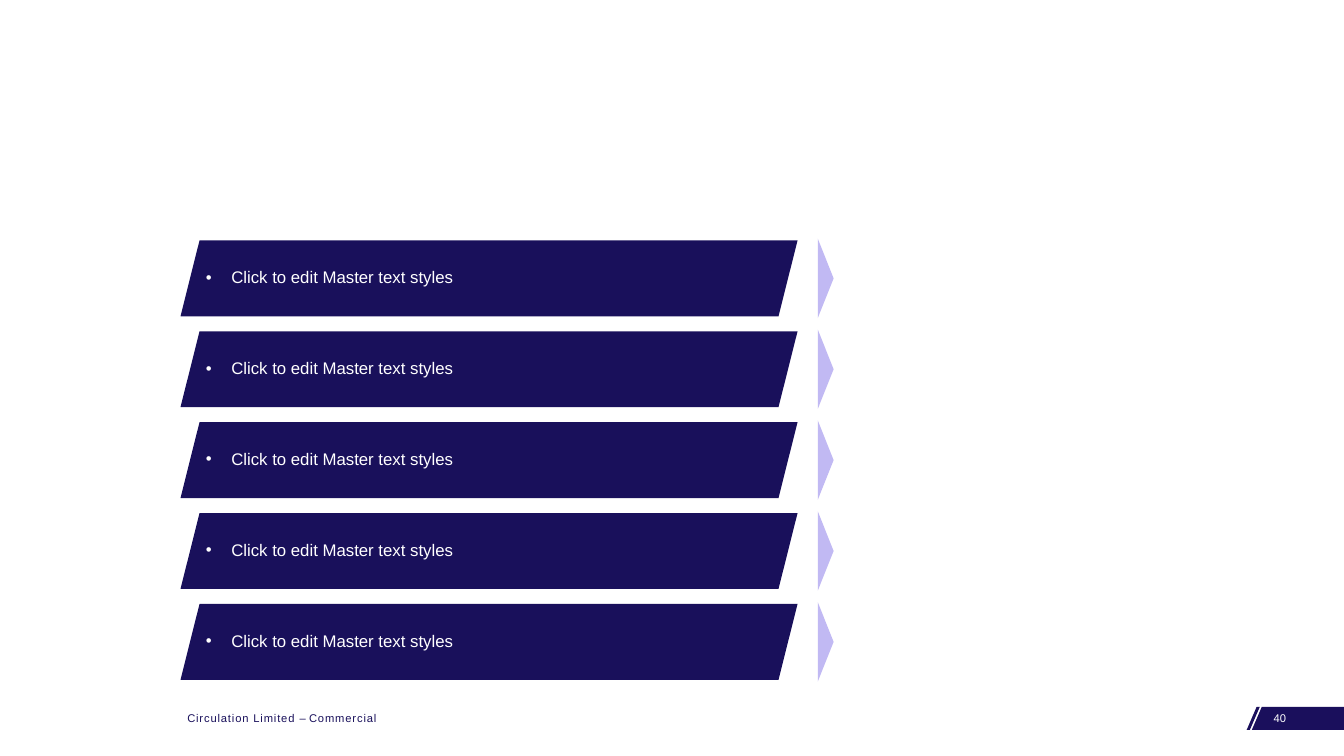
from dataclasses import dataclass
from lxml.etree import SubElement
from pptx import Presentation
from pptx.dml.color import RGBColor
from pptx.enum.text import MSO_ANCHOR, PP_ALIGN
from pptx.oxml.ns import qn
from pptx.util import Cm, Pt

PANELS = ["Click to edit Master text styles"] * 5
CLASSIFICATION = [("Circulation Limited ", 60), ("– ", 0), ("Commercial", 60)]
PAGE_NUMBER = [("40", 0)]


@dataclass(frozen=True)
class Theme:
    font: str = "Arial"
    navy: RGBColor = RGBColor(0x19, 0x10, 0x5B)
    tab: RGBColor = RGBColor(0x1A, 0x0F, 0x5C)
    lilac: RGBColor = RGBColor(0xC1, 0xB9, 0xF3)
    white: RGBColor = RGBColor(0xFF, 0xFF, 0xFF)
    panel_size: Pt = Pt(12)
    footer_size: Pt = Pt(8)


THEME = Theme()
SLIDE_WIDTH, SLIDE_HEIGHT = 33.87, 19.05
PANEL_LEFT, PANEL_TOP, PANEL_WIDTH, PANEL_HEIGHT = 4.55, 6.06, 15.55, 1.91
PANEL_PITCH, PANEL_SLANT = 2.29, 0.48
ARROW_LEFT, ARROW_WIDTH, ARROW_HEIGHT = 20.61, 0.4, 2.0
FOOTER_TOP, FOOTER_HEIGHT = 17.81, 0.6
TAB_HEIGHT, TAB_SLANT = 0.58, 0.25
STRIPE_LEFT, STRIPE_WIDTH, TAB_LEFT = 31.42, 0.08, 31.55


def slanted(left, top, right, height, slant, right_slant):
    return [(left + slant, top), (right, top),
            (right - right_slant, top + height), (left, top + height)]


def add_outline(slide, contours, fill):
    points = [[(Cm(x), Cm(y)) for x, y in contour] for contour in contours]
    builder = slide.shapes.build_freeform(*points[0][0])
    builder.add_line_segments(points[0][1:])
    for contour in points[1:]:
        builder.move_to(*contour[0])
        builder.add_line_segments(contour[1:])
    outline = builder.convert_to_shape()
    outline.shadow.inherit = False
    outline.fill.solid()
    outline.fill.fore_color.rgb = fill
    outline.line.fill.background()
    return outline


def set_font(paragraph, size, color):
    paragraph.font.name = THEME.font
    paragraph.font.size = size
    paragraph.font.color.rgb = color


def add_panel(slide, wording, top):
    panel = add_outline(slide, [slanted(
        PANEL_LEFT, top, PANEL_LEFT + PANEL_WIDTH, PANEL_HEIGHT,
        PANEL_SLANT, PANEL_SLANT)], THEME.navy)
    frame = panel.text_frame
    frame.word_wrap = True
    frame.vertical_anchor = MSO_ANCHOR.MIDDLE
    frame.margin_left = frame.margin_right = Cm(0.64)
    frame.margin_top = frame.margin_bottom = Cm(0.13)
    paragraph = frame.paragraphs[0]
    paragraph.text = wording
    paragraph.alignment = PP_ALIGN.LEFT
    paragraph.line_spacing = 0.9
    properties = paragraph._p.get_or_add_pPr()
    properties.set("marL", str(Cm(0.64)))
    properties.set("indent", str(-Cm(0.64)))
    SubElement(properties, qn("a:buFont")).set("typeface", THEME.font)
    SubElement(properties, qn("a:buChar")).set("char", "•")
    set_font(paragraph, THEME.panel_size, THEME.white)


def add_footer(slide, parts, left, width, color):
    footer = slide.shapes.add_textbox(
        Cm(left), Cm(FOOTER_TOP), Cm(width), Cm(FOOTER_HEIGHT))
    footer.text_frame.word_wrap = True
    paragraph = footer.text_frame.paragraphs[0]
    for wording, spacing in parts:
        run = paragraph.add_run()
        run.text = wording
        if spacing:
            run._r.get_or_add_rPr().set("spc", str(spacing))
    set_font(paragraph, THEME.footer_size, color)


def main():
    deck = Presentation()
    deck.slide_width, deck.slide_height = Cm(SLIDE_WIDTH), Cm(SLIDE_HEIGHT)
    slide = deck.slides.add_slide(deck.slide_layouts[6])

    stripe = slanted(STRIPE_LEFT, FOOTER_TOP,
                     STRIPE_LEFT + TAB_SLANT + STRIPE_WIDTH,
                     TAB_HEIGHT, TAB_SLANT, TAB_SLANT)
    page_tab = slanted(TAB_LEFT, FOOTER_TOP, SLIDE_WIDTH,
                       TAB_HEIGHT, TAB_SLANT, 0)
    add_outline(slide, [stripe, page_tab], THEME.tab)
    add_footer(slide, CLASSIFICATION, 4.47, 5.56, THEME.navy)
    add_footer(slide, PAGE_NUMBER, 31.85, 1.57, THEME.white)

    for index, wording in enumerate(PANELS):
        top = PANEL_TOP + index * PANEL_PITCH
        add_panel(slide, wording, top)
        middle = top + PANEL_HEIGHT / 2
        add_outline(slide, [[
            (ARROW_LEFT, middle - ARROW_HEIGHT / 2),
            (ARROW_LEFT + ARROW_WIDTH, middle),
            (ARROW_LEFT, middle + ARROW_HEIGHT / 2)]], THEME.lilac)

    deck.save("out.pptx")


if __name__ == "__main__":
    main()
